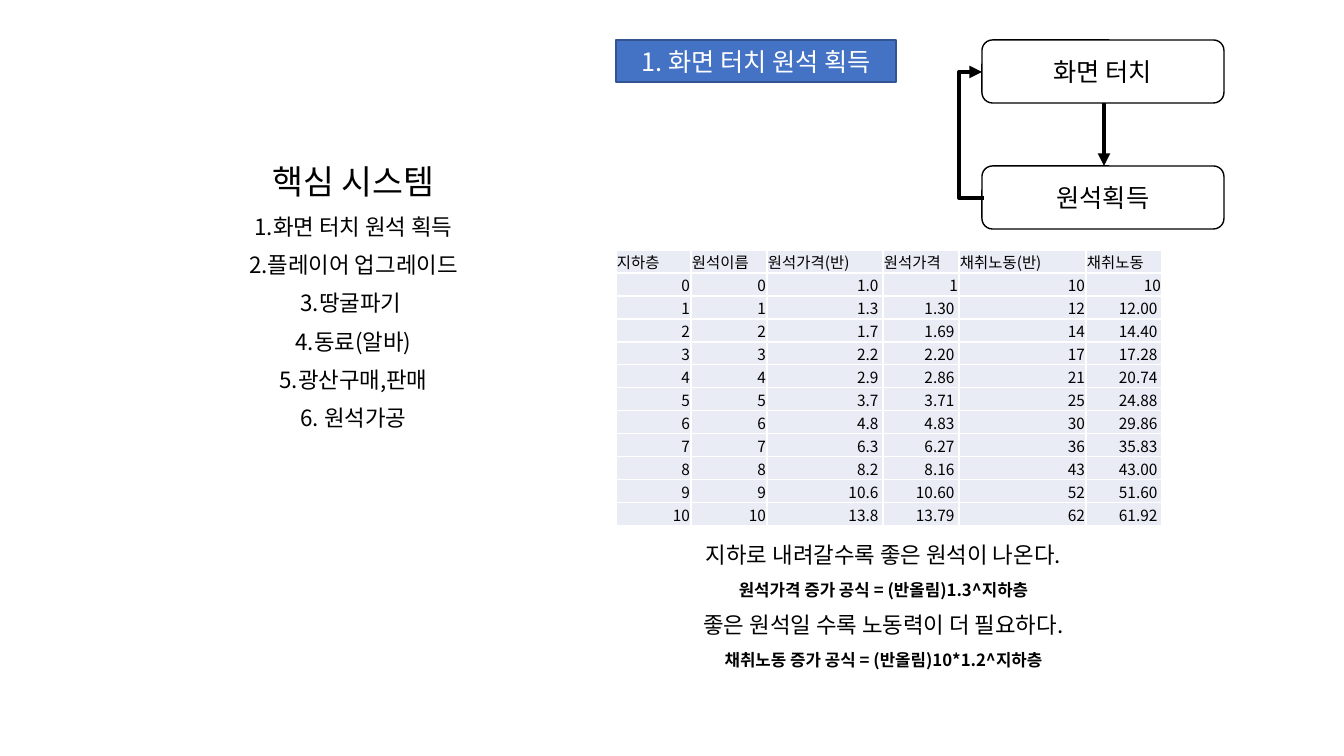
import dataclasses

import pptx
import pptx.dml.color
import pptx.enum.shapes
import pptx.enum.text
import pptx.oxml
import pptx.oxml.ns
import pptx.util

PIXEL = 914400 / 100.8
ALIGN = pptx.enum.text.PP_ALIGN
ANCHOR = pptx.enum.text.MSO_ANCHOR
SHAPE = pptx.enum.shapes.MSO_SHAPE
CONNECTOR = pptx.enum.shapes.MSO_CONNECTOR


@dataclasses.dataclass(frozen=True)
class Theme:
    font: str = "Noto Sans CJK KR"
    ink: str = "000000"
    paper: str = "FFFFFF"
    accent: str = "4472C4"
    accent_edge: str = "325491"
    cell: str = "E9EBF5"
    title: int = 24
    label: int = 18
    body: int = 16
    formula: int = 12
    table: int = 11
    outline: int = 1
    arrow: int = 3


def emu(*pixels):
    return [pptx.util.Emu(round(value * PIXEL)) for value in pixels]


def rgb(color):
    return pptx.dml.color.RGBColor.from_string(color)


def add_xml(parent, tag, **attributes):
    element = pptx.oxml.parse_xml(f"<{tag} {pptx.oxml.ns.nsdecls('a')}/>")
    for name, value in attributes.items():
        element.set(name, str(value))
    parent.append(element)


class SlideBuilder:
    def __init__(self, slide, theme):
        self.slide = slide
        self.theme = theme

    def add_text_run(self, paragraph, text, size, color=None, bold=False, align=ALIGN.CENTER):
        paragraph.alignment = align
        run = paragraph.add_run()
        run.text = text
        run.font.size = pptx.util.Pt(size)
        run.font.bold = bold
        run.font.name = self.theme.font
        run.font.color.rgb = rgb(color or self.theme.ink)
        add_xml(run.font._element, "a:ea", typeface=self.theme.font)

    def text(self, box, lines):
        frame = self.slide.shapes.add_textbox(*emu(*box)).text_frame
        frame.word_wrap = True
        for index, (text, size, bold) in enumerate(lines):
            paragraph = frame.add_paragraph() if index else frame.paragraphs[0]
            paragraph.line_spacing = 0.9
            paragraph.space_before = pptx.util.Pt(10)
            self.add_text_run(paragraph, text, size, bold=bold)

    def box(self, kind, box, text, fill=None, edge=None, color=None):
        shape = self.slide.shapes.add_shape(kind, *emu(*box))
        shape.shadow.inherit = False
        if fill:
            shape.fill.solid()
            shape.fill.fore_color.rgb = rgb(fill)
        else:
            shape.fill.background()
        shape.line.color.rgb = rgb(edge or self.theme.ink)
        shape.line.width = pptx.util.Pt(self.theme.outline)
        shape.text_frame.vertical_anchor = ANCHOR.MIDDLE
        self.add_text_run(shape.text_frame.paragraphs[0], text, self.theme.label, color)

    def arrow(self, kind, start, end, bend=None):
        connector = self.slide.shapes.add_connector(kind, *emu(*start, *end))
        connector.line.color.rgb = rgb(self.theme.ink)
        connector.line.width = pptx.util.Pt(self.theme.arrow)
        properties = connector._element.spPr
        add_xml(properties.find(pptx.oxml.ns.qn("a:ln")), "a:tailEnd", type="triangle")
        add_xml(properties, "a:effectLst")
        if bend is not None:
            guides = properties.find(".//" + pptx.oxml.ns.qn("a:avLst"))
            add_xml(guides, "a:gd", name="adj1", fmla=f"val {round(bend * 100000)}")

    def table(self, left, top, widths, row_height, rows):
        size = emu(left, top, sum(widths), row_height * len(rows))
        table = self.slide.shapes.add_table(len(rows), len(widths), *size).table
        table.first_row = table.horz_banding = False
        for column, width in zip(table.columns, emu(*widths)):
            column.width = width
        for row_index, values in enumerate(rows):
            table.rows[row_index].height = emu(row_height)[0]
            for column_index, value in enumerate(values):
                cell = table.cell(row_index, column_index)
                cell.fill.solid()
                cell.fill.fore_color.rgb = rgb(self.theme.cell)
                cell.vertical_anchor = ANCHOR.MIDDLE
                cell.margin_left, cell.margin_top, cell.margin_right = emu(1, 1, 1)
                cell.margin_bottom = 0
                self.add_text_run(cell.text_frame.paragraphs[0], value, self.theme.table,
                                  align=ALIGN.RIGHT if row_index else ALIGN.LEFT)


theme = Theme()
presentation = pptx.Presentation()
presentation.slide_width, presentation.slide_height = emu(1344, 756)
builder = SlideBuilder(presentation.slides.add_slide(presentation.slide_layouts[6]), theme)

# List of core systems
systems = ["1.화면 터치 원석 획득", "2.플레이어 업그레이드", "3.땅굴파기 ",
           "4.동료(알바)", "5.광산구매,판매", "6. 원석가공"]
builder.text((91, 161, 525, 434), [("핵심 시스템", theme.title, False)]
             + [(system, theme.body, False) for system in systems])

# Touch and gain loop
box_left, box_width, box_height = 982, 242, 63
touch_top, gain_top = 40, 166
for top, step in ((touch_top, "화면 터치"), (gain_top, "원석획득")):
    builder.box(SHAPE.ROUNDED_RECTANGLE, (box_left, top, box_width, box_height), step)
builder.arrow(CONNECTOR.STRAIGHT, (1104, touch_top + box_height), (1104, gain_top))
loop_start, loop_bend = box_left + 2, 959
builder.arrow(CONNECTOR.ELBOW, (loop_start, gain_top + 32), (box_left, touch_top + 32),
              bend=(loop_start - loop_bend) / (loop_start - box_left))

# Section heading
builder.box(SHAPE.RECTANGLE, (616, 40, 280, 42), "1. 화면 터치 원석 획득",
            theme.accent, theme.accent_edge, theme.paper)

# Price and labour by floor: 1.3^floor and 10*1.2^floor
rows = [["지하층", "원석이름", "원석가격(반)", "원석가격", "채취노동(반)", "채취노동"]]
for floor in range(11):
    price, labour = 1.3 ** floor, 10 * 1.2 ** floor
    rows.append([str(floor), str(floor), f"{price:.1f} ",
                 f"{price:.2f} " if floor else "1",
                 f"{labour:.0f}", f"{labour:.2f} " if floor else "10"])
builder.table(616, 250, [75, 76, 116, 76, 127, 76], 23, rows)

# Growth rules
builder.text((621, 539, 525, 198), [
    ("지하로 내려갈수록 좋은 원석이 나온다.", theme.body, False),
    ("원석가격 증가 공식 = (반올림)1.3^지하층", theme.formula, True),
    ("좋은 원석일 수록 노동력이 더 필요하다.", theme.body, False),
    ("채취노동 증가 공식 = (반올림)10*1.2^지하층", theme.formula, True),
])

presentation.save("out.pptx")
